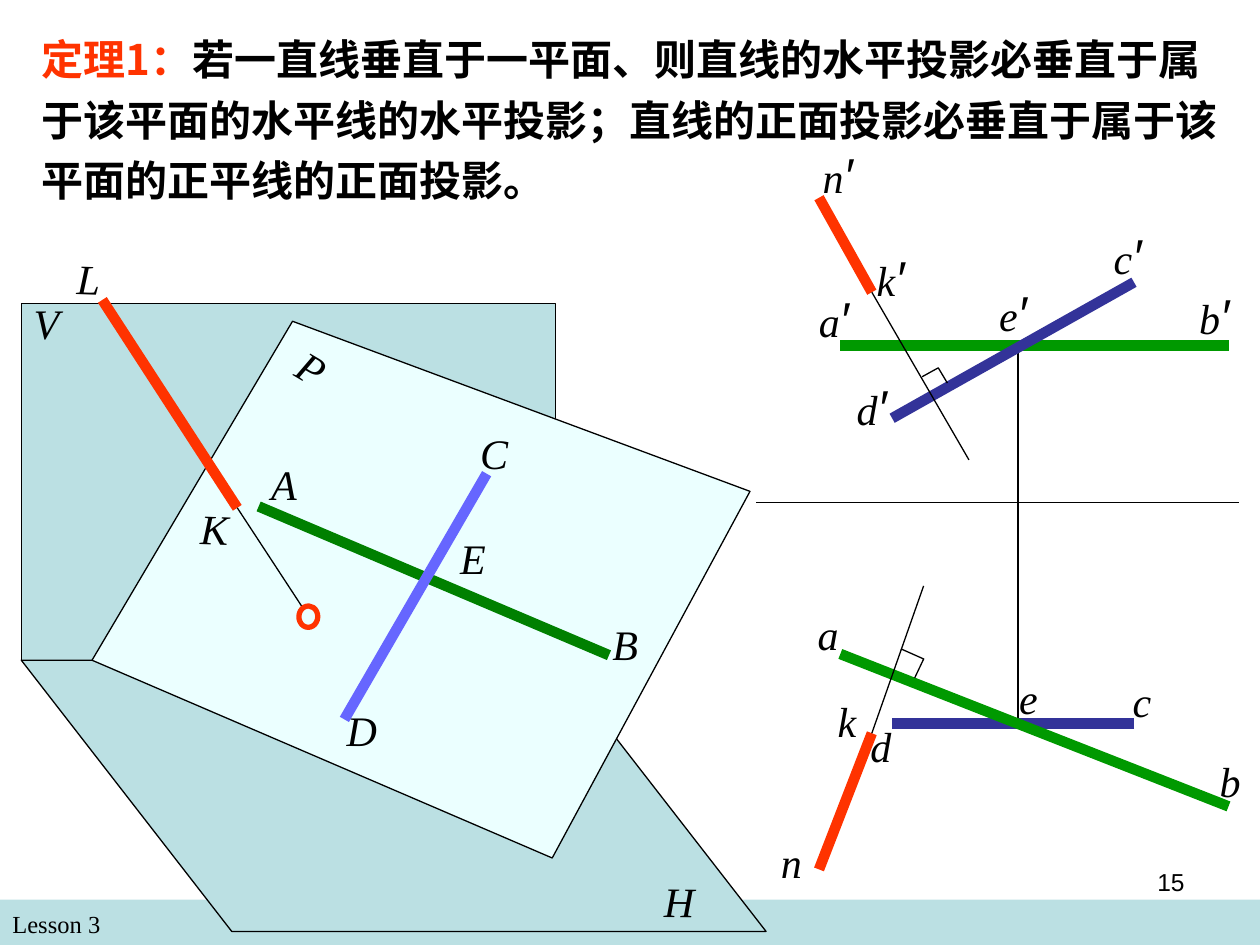
from dataclasses import dataclass

from lxml.etree import SubElement
from pptx import Presentation
from pptx.dml.color import RGBColor as RGB
from pptx.enum.shapes import MSO_CONNECTOR as CONN, MSO_SHAPE as SHAPE
from pptx.enum.text import MSO_ANCHOR as ANCHOR, PP_ALIGN as ALIGN
from pptx.oxml.ns import qn
from pptx.util import Pt


@dataclass(frozen=True)
class Theme:
    black: str = "000000"
    plane: str = "BBE0E3"
    pale: str = "EBFFFF"
    red: str = "FF3300"
    dark_green: str = "008000"
    green: str = "009900"
    violet: str = "6666FF"
    navy: str = "333399"
    thin: float = 0.75
    ring: float = 3
    thick: float = 6
    small: float = 14
    body: float = 24
    prime: float = 28
    serif: str = "Times New Roman"
    sans: str = "Arial"
    cjk: str = "Noto Sans CJK SC"


T = Theme()


def add_run(p, text, size, font, color=T.black, bold=False, italic=False):
    r = p.add_run()
    r.text = text
    f = r.font
    f.size, f.name, f.bold, f.italic = Pt(size), font, bold, italic
    f.color.rgb = RGB.from_string(color)
    if font == T.cjk:
        SubElement(r._r.get_or_add_rPr(), qn("a:ea")).set("typeface", font)


def add_box(slide, x, y, w, h, rot=0):
    """Add an empty wrapping text box and return its first paragraph."""
    sp = slide.shapes.add_textbox(Pt(x), Pt(y), Pt(w), Pt(h))
    sp.rotation = rot
    sp.text_frame.word_wrap = True
    return sp.text_frame.paragraphs[0]


def add_label(slide, x, y, name, w, rot=0):
    """Add a point or plane name; a trailing prime is set larger."""
    primed = name.endswith("′")
    p = add_box(slide, x, y, w, 41 if primed else 36, rot)
    add_run(p, name.rstrip("′"), T.body, T.serif, italic=True)
    if primed:
        add_run(p, "′", T.prime, T.sans, italic=True)


def style(sp, fill=None, line=None, width=T.thin):
    sp.shadow.inherit = False
    if fill:
        sp.fill.solid()
        sp.fill.fore_color.rgb = RGB.from_string(fill)
    else:
        sp.fill.background()
    if line:
        sp.line.color.rgb = RGB.from_string(line)
        sp.line.width = Pt(width)
    else:
        sp.line.fill.background()


def add_line(slide, origin, start, end, color=T.black, width=T.thin):
    x, y = origin
    ln = slide.shapes.add_connector(
        CONN.STRAIGHT, Pt(x + start[0]), Pt(y + start[1]),
        Pt(x + end[0]), Pt(y + end[1]))
    ln.line.color.rgb = RGB.from_string(color)
    ln.line.width = Pt(width)
    SubElement(ln._element.spPr, qn("a:effectLst"))


def add_outline(slide, origin, points, fill=None, close=True):
    x, y = origin
    pts = [(Pt(x + px), Pt(y + py)) for px, py in points]
    builder = slide.shapes.build_freeform(*pts[0])
    builder.add_line_segments(pts[1:], close=close)
    style(builder.convert_to_shape(), fill, T.black)


def add_theorem(slide, x, y, w, h):
    sp = slide.shapes.title
    sp.left, sp.top, sp.width, sp.height = Pt(x), Pt(y), Pt(w), Pt(h)
    tf = sp.text_frame
    tf.word_wrap, tf.vertical_anchor = True, ANCHOR.TOP
    p = tf.paragraphs[0]
    p.alignment, p.line_spacing, p.space_before = ALIGN.LEFT, 1.2, Pt(0)
    add_run(p, "定理1：", T.body, T.cjk, T.red, bold=True)
    add_run(p, "若一直线垂直于一平面、则直线的水平投影必垂直于属于该平面的水平线的水平投影；"
               "直线的正面投影必垂直于属于该平面的正平线的正面投影。",
            T.body, T.cjk, bold=True)


def add_footer(slide, x, y, w, h):
    band = slide.shapes.add_shape(SHAPE.RECTANGLE, Pt(x), Pt(y), Pt(w), Pt(h))
    style(band, T.plane)
    add_run(add_box(slide, x, y + 2, 348, 24.5), "Lesson 3", T.small, T.serif)


def add_page_number(slide, x, y, w, h):
    p = add_box(slide, x, y, w, h)
    p.alignment = ALIGN.RIGHT
    add_run(p, "15", T.small, T.sans)


def add_spatial_view(slide, x, y):
    """Line LK perpendicular to plane P, in front of planes V and H."""
    origin = x, y
    wall_w, wall_top, fold = 305.3, 33.5, 237.3
    wall = slide.shapes.add_shape(SHAPE.RECTANGLE, Pt(x), Pt(y + wall_top),
                                  Pt(wall_w), Pt(fold - wall_top))
    style(wall, T.plane, T.black)
    skew, floor = 120.3, 392.3
    add_outline(slide, origin, [(0, fold), (skew, floor),
                                (skew + wall_w, floor), (wall_w, fold)], T.plane)
    add_outline(slide, origin, [(155, 43.6), (40.4, fold), (303.4, 350.3),
                                (416.4, 140.8)], T.pale)
    top, near, foot = (46.3, 31.4), (123.4, 150.2), (164.4, 212.8)
    for start, end, color, width in [
            ((135.6, 149.4), (335.8, 234.4), T.dark_green, T.thick),
            ((184.6, 271.1), (265.9, 130.7), T.violet, T.thick),
            (top, near, T.red, T.thick),
            (near, foot, T.black, T.thin)]:
        add_line(slide, origin, start, end, color, width)
    ring = slide.shapes.add_shape(SHAPE.OVAL, Pt(x + 158.6), Pt(y + 206.3),
                                  Pt(10.8), Pt(12.2))
    ring.rotation = 2.1
    style(ring, T.pale, T.red, T.ring)
    for name, lx, ly, w, rot in [
            ("V", 0, 26.3, 55, 0), ("P", 152, 51.5, 26, 30.7),
            ("A", 135.6, 118.5, 27.4, 0), ("K", 95.3, 143.7, 27.4, 2.1),
            ("L", 24.7, 1.1, 27.4, 2.1), ("D", 178.8, 258.9, 27.4, 0),
            ("C", 255.1, 100.5, 27.4, 0), ("B", 330.7, 209.9, 27.4, 0),
            ("E", 243.6, 161, 27.4, 0), ("H", 360.2, 356.8, 61, 0.6)]:
        add_label(slide, x + lx, y + ly, name, w, rot)


def add_projections(slide, x, y):
    """Front projections (primed) above the axis, horizontal ones below."""
    origin = x, y
    # Each point keeps one x in both projections: (x, front y, horizontal y)
    points = {"a": (48.2, 125.3, 301.7), "b": (270, 125.3, 388.8),
              "c": (216, 89.3, 341.3), "d": (77.8, 167, 341.3),
              "e": (149.8, 125.3, 341.3), "n": (36, 41, 424.8),
              "k": (66.2, 95, 347)}
    front = {k: (px, fy) for k, (px, fy, _) in points.items()}
    plan = {k: (px, hy) for k, (px, _, hy) in points.items()}
    add_line(slide, origin, (0, 215.3), (275.8, 215.3))
    add_line(slide, origin, front["e"], plan["e"])
    for view, ends, color in [(front, "ab", T.green), (plan, "cd", T.navy),
                              (front, "cd", T.navy), (plan, "ab", T.green),
                              (plan, "nk", T.red), (front, "nk", T.red)]:
        add_line(slide, origin, view[ends[0]], view[ends[1]], color, T.thick)
    add_line(slide, origin, plan["k"], (95.8, 262.8))
    add_line(slide, origin, front["k"], (121.7, 190.8))
    for corner in ([(95, 143.3), (104.2, 138.2), (109.4, 146.9)],
                   [(82.8, 298.8), (95.8, 304.6), (90.7, 315.4)]):
        add_outline(slide, origin, corner, close=False)
    for name, lx, ly in [
            ("a′", 28.8, 89.3), ("b′", 246.2, 87.8), ("c′", 197.3, 53.3),
            ("d′", 50.4, 139.7), ("e′", 131.8, 85.7), ("k′", 61.9, 66.2),
            ("n′", 31, 7.2), ("a", 28.1, 272.2), ("b", 257.8, 356.4),
            ("c", 208.1, 310.3), ("d", 58.3, 336.2), ("e", 143.3, 308.9),
            ("k", 39.6, 321.8), ("n", 7.2, 402.5)]:
        add_label(slide, x + lx, y + ly, name, 42)


def main():
    prs = Presentation()
    prs.slide_width, prs.slide_height = Pt(720), Pt(540)
    slide = prs.slides.add_slide(prs.slide_layouts[5])
    add_footer(slide, 0, 514, 720, 26)
    add_spatial_view(slide, 12.2, 140)
    add_projections(slide, 432, 72)
    add_theorem(slide, 16.5, 10, 690, 111)
    add_page_number(slide, 516, 492, 168, 37.4)
    prs.save("out.pptx")


if __name__ == "__main__":
    main()
